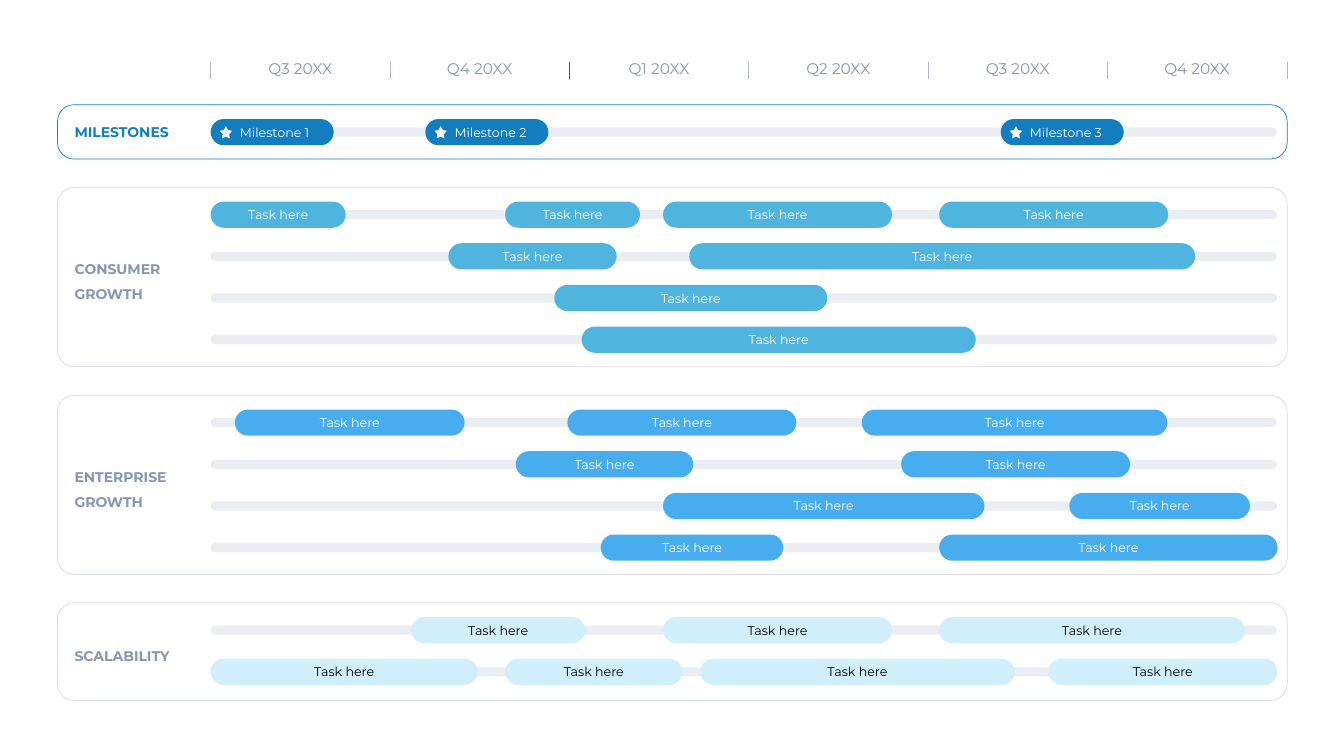
from lxml.etree import SubElement
from pptx import Presentation
from pptx.dml.color import RGBColor as Rgb
from pptx.enum.shapes import MSO_CONNECTOR as Link, MSO_SHAPE as Kind
from pptx.enum.text import MSO_ANCHOR as Anchor, MSO_AUTO_SIZE as Fit, PP_ALIGN as Align
from pptx.oxml.ns import qn
from pptx.util import Cm, Pt

theme = {
    "font": "Montserrat",
    "white": "FFFFFF", "black": "000000",
    "navy": "127EC0", "teal": "4FB4DE", "blue": "47ADEE", "pale": "D1EFFA",
    "gray": "D6DCE5", "slate": "8497B0", "tick": "ADB9CA", "dark": "44546A",
    "date": 11, "label": 10, "task": 9, "line": 0.5,
}

left, top, col = 5.31, 3, 4.52
edge, full, pad = 1.45, 30.99, 0.36
step, bar, rail = 1.05, 0.66, 0.23
span = 26.87

dates = ["Q3 20XX", "Q4 20XX", "Q1 20XX", "Q2 20XX", "Q3 20XX", "Q4 20XX"]
stones = [(5.31, 3.1), (10.72, 3.1), (25.22, 3.1)]
panels = [
    (["MILESTONES"], 2.64, 1.37, 2.92, 1, "navy", "navy", "navy", "white", [stones]),
    (["CONSUMER", "GROWTH"], 4.72, 4.52, 2.72, 1.5, "gray", "slate", "teal", "white", [
        [(5.31, 3.4), (12.73, 3.4), (16.71, 5.77), (23.67, 5.77)],
        [(11.3, 4.24), (17.37, 12.75)],
        [(13.97, 6.88)],
        [(14.66, 9.93)],
    ]),
    (["ENTERPRISE", "GROWTH"], 9.96, 4.52, 2.87, 1.5, "gray", "slate", "blue", "white", [
        [(5.92, 5.79), (14.3, 5.77), (21.72, 7.7)],
        [(13, 4.47), (22.71, 5.77)],
        [(16.71, 8.1), (26.95, 4.55)],
        [(15.14, 4.6), (23.67, 8.53)],
    ]),
    (["SCALABILITY"], 15.19, 2.46, 2.95, 1.5, "gray", "slate", "pale", "black", [
        [(10.36, 4.39), (16.71, 5.77), (23.67, 7.7)],
        [(5.31, 6.73), (12.73, 4.47), (17.65, 7.92), (26.42, 5.77)],
    ]),
]

deck = Presentation()
deck.slide_width, deck.slide_height = Cm(33.87), Cm(19.05)
slide = deck.slides.add_slide(deck.slide_layouts[6])
shapes = slide.shapes


def draw(kind, x, y, w, h, round_, fill=None, line=None):
    shape = shapes.add_shape(kind, Cm(x), Cm(y), Cm(w), Cm(h))
    shape.shadow.inherit = False
    shape.adjustments[0] = round_
    if fill:
        shape.fill.solid()
        shape.fill.fore_color.rgb = Rgb.from_string(theme[fill])
    else:
        shape.fill.background()
    if line:
        shape.line.color.rgb = Rgb.from_string(theme[line])
        shape.line.width = Pt(theme["line"])
    else:
        shape.line.fill.background()
    return shape


def write(shape, lines, size, color, align, bold=False, space=None):
    frame = shape.text_frame
    frame.vertical_anchor = Anchor.MIDDLE
    for i, text in enumerate(lines):
        para = frame.add_paragraph() if i else frame.paragraphs[0]
        para.alignment = align
        para.line_spacing = space
        run = para.add_run()
        run.text = text
        run.font.name = theme["font"]
        run.font.size = Pt(theme[size])
        run.font.bold = bold
        run.font.color.rgb = Rgb.from_string(theme[color])
    return frame


for lines, y, high, wide, space, edging, ink, fill, text, rows in panels:
    for i in range(len(rows)):
        mid = y + pad + i * step + bar / 2
        track = draw(Kind.ROUNDED_RECTANGLE, left, mid - rail / 2, span, rail, 0.5, "gray")
        tint = track.element.spPr.find(qn("a:solidFill"))[0]
        SubElement(tint, qn("a:alpha"), val="50000")

    draw(Kind.ROUNDED_RECTANGLE, edge, y, full, high, 0.42 / high, line=edging)

    for i, row in enumerate(rows):
        y_bar = y + pad + i * step
        for n, (x, w) in enumerate(row, 1):
            pill = draw(Kind.ROUNDED_RECTANGLE, x, y_bar, w, bar, 0.5, fill)
            if row is stones:
                frame = write(pill, [f"Milestone {n}"], "task", text, Align.LEFT)
                frame.margin_left = Cm(0.64)
                draw(Kind.STAR_5_POINT, x + 0.23, y_bar + 0.18, 0.31, 0.31, 0.27, "white")
            else:
                write(pill, ["Task here"], "task", text, Align.CENTER)

    tall = 0.81 if len(lines) == 1 else 1.47
    box = shapes.add_textbox(Cm(1.63), Cm(y + (high - tall) / 2), Cm(wide), Cm(tall))
    frame = write(box, lines, "label", ink, Align.LEFT, True, space)
    frame.word_wrap = False
    frame.auto_size = Fit.SHAPE_TO_FIT_TEXT

for i, date in enumerate(dates):
    x = left + (i + 0.5) * col
    box = shapes.add_textbox(Cm(x - 1.08), Cm(1.37), Cm(2.16), Cm(0.81))
    frame = write(box, [date], "date", "slate", Align.CENTER)
    frame.vertical_anchor = Anchor.TOP
    frame.word_wrap = False
    frame.auto_size = Fit.SHAPE_TO_FIT_TEXT

for i in range(len(dates) + 1):
    x = Cm(left + i * col)
    tick = shapes.add_connector(Link.STRAIGHT, x, Cm(1.57), x, Cm(1.98))
    tick.line.color.rgb = Rgb.from_string(theme["dark" if i == 2 else "tick"])
    tick.line.width = Pt(theme["line"])
    SubElement(tick.element.spPr, qn("a:effectLst"))

deck.save("out.pptx")
